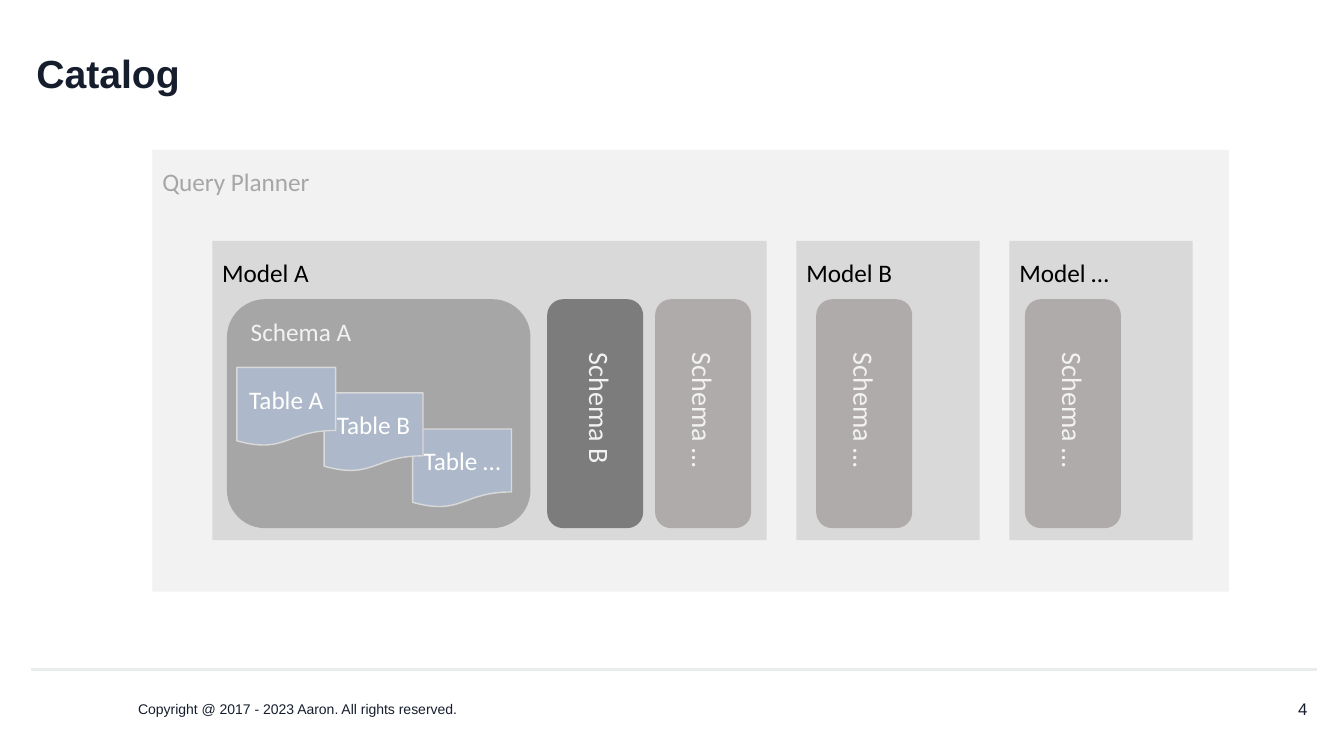
from dataclasses import dataclass

from lxml import etree
from pptx import Presentation
from pptx.dml.color import RGBColor
from pptx.enum.shapes import MSO_CONNECTOR, MSO_SHAPE
from pptx.enum.text import MSO_ANCHOR, MSO_AUTO_SIZE, PP_ALIGN
from pptx.oxml.ns import qn
from pptx.util import Cm, Pt

STRAIGHT = MSO_CONNECTOR.STRAIGHT
RECTANGLE = MSO_SHAPE.RECTANGLE
ROUNDED = MSO_SHAPE.ROUNDED_RECTANGLE
DOCUMENT = MSO_SHAPE.FLOWCHART_DOCUMENT
TOP, MIDDLE = MSO_ANCHOR.TOP, MSO_ANCHOR.MIDDLE
LEFT, CENTER, RIGHT = PP_ALIGN.LEFT, PP_ALIGN.CENTER, PP_ALIGN.RIGHT
NO_FIT = MSO_AUTO_SIZE.NONE
TITLE_ONLY = 5


@dataclass(frozen=True)
class Theme:
    """Colours, fonts and type sizes of the slide."""
    ink: str = "161E2D"
    rule: str = "EAEDED"
    black: str = "000000"
    white: str = "FFFFFF"
    catalog: str = "F2F2F2"
    catalog_label: str = "A6A6A6"
    model: str = "D9D9D9"
    schema_open: str = "A6A6A6"
    schema_dark: str = "7C7C7C"
    schema_more: str = "AFABAB"
    schema_label: str = "F2F2F2"
    table: str = "ADB9CA"
    table_line: str = "D9D9D9"
    heading_font: str = "Arial"
    body_font: str = "Calibri"
    title_size: int = 28
    strip_size: int = 20
    label_size: int = 18
    number_size: int = 12
    footer_size: int = 10


THEME = Theme()


def write(shape, text, *, size=THEME.label_size, color=THEME.black, font=THEME.body_font,
          bold=False, align=LEFT, anchor=TOP, wrap=True, spacing=None):
    """Put one formatted paragraph into a shape."""
    frame = shape.text_frame
    frame.auto_size = NO_FIT
    frame.word_wrap = wrap
    frame.vertical_anchor = anchor
    para = frame.paragraphs[0]
    para.alignment = align
    para.line_spacing = spacing
    span = para.add_run()
    span.text = text
    span.font.size = Pt(size)
    span.font.name = font
    span.font.bold = bold
    span.font.color.rgb = RGBColor.from_string(color)


def add_label(page, box, text, **style):
    """Add a text box at a box given in centimetres."""
    label = page.shapes.add_textbox(*map(Cm, box))
    write(label, text, **style)
    return label


def add_block(page, kind, box, fill, line=None):
    """Add a flat filled shape at a box given in centimetres."""
    block = page.shapes.add_shape(kind, *map(Cm, box))
    block.shadow.inherit = False
    block.fill.solid()
    block.fill.fore_color.rgb = RGBColor.from_string(fill)
    if line:
        block.line.color.rgb = RGBColor.from_string(line)
        block.line.width = Pt(1)
    else:
        block.line.fill.background()
    return block


def add_title(page, box, text):
    """Place the title placeholder."""
    title = page.shapes.title
    title.left, title.top, title.width, title.height = map(Cm, box)
    write(title, text, size=THEME.title_size, color=THEME.ink, font=THEME.heading_font,
          bold=True, anchor=MIDDLE, spacing=0.9)


def add_footer(page, box, copyright_text, number):
    """Draw the rule, the copyright line and the page number."""
    left, top, width, height = box
    right = left + width
    rule = page.shapes.add_connector(STRAIGHT, Cm(left), Cm(top), Cm(right), Cm(top))
    rule.line.color.rgb = RGBColor.from_string(THEME.rule)
    rule.line.width = Pt(2.25)
    etree.SubElement(rule._element.spPr, qn("a:effectLst"))
    style = dict(color=THEME.ink, font=THEME.heading_font, anchor=MIDDLE)
    text_top = top + 0.5
    add_label(page, (left + 2.44, text_top, 12.4, height - 0.5), copyright_text,
              size=THEME.footer_size, **style)
    add_label(page, (right - 7.9, text_top, 7.9, height - 0.5), number,
              size=THEME.number_size, align=RIGHT, **style)


def add_open_schema(page, box, text, tables):
    """Draw a schema with its overlapping tables, the first in front."""
    left, top, _, _ = box
    add_block(page, ROUNDED, box, THEME.schema_open)
    add_label(page, (left + 0.35, top + 0.3, 4.45, 1.02), text, color=THEME.schema_label)
    for name, across, down in reversed(tables):
        table = add_block(page, DOCUMENT, (left + across, top + down, 2.49, 1.98),
                          THEME.table, THEME.table_line)
        write(table, name, color=THEME.white, align=CENTER, anchor=MIDDLE, wrap=False)


def add_schema_strip(page, box, text, fill, shift=0):
    """Draw a narrow schema with a label turned on its side."""
    left, top, width, height = box
    add_block(page, ROUNDED, box, fill)
    label_width, label_height = 4.45, 1.11
    label_left = left + (width - label_width) / 2 + shift
    label_top = top + (height - label_height) / 2 + 0.44
    label = add_label(page, (label_left, label_top, label_width, label_height), text,
                      size=THEME.strip_size, color=THEME.schema_label)
    label.rotation = 90


def add_model(page, box, text, strips, open_schema=None):
    """Draw a model with its schemas."""
    left, top, width, height = box
    add_block(page, RECTANGLE, box, THEME.model)
    add_label(page, (left, top + 0.3, 3.48, 1.02), text)
    schema_top, schema_height = top + 1.47, height - 1.77
    if open_schema:
        add_open_schema(page, (left + 0.37, schema_top, 7.65, schema_height), *open_schema)
    for across, *strip in strips:
        add_schema_strip(page, (left + across, schema_top, 2.42, schema_height), *strip)


def add_catalog(page, box):
    """Draw the catalog panel with its three models."""
    left, top, _, _ = box
    add_block(page, RECTANGLE, box, THEME.catalog)
    add_label(page, (left, top + 0.28, 6.53, 1.02), "Query Planner",
              color=THEME.catalog_label)
    tables = [("Table A", 0.25, 1.72), ("Table B", 2.45, 2.36), ("Table …", 4.68, 3.27)]
    more = ("Schema …", THEME.schema_more)
    models = [
        (1.51, 13.97, "Model A",
         [(8.44, "Schema B", THEME.schema_dark, 0.12), (11.16, *more)],
         ("Schema A", tables)),
        (16.23, 4.62, "Model B", [(0.5, *more)], None),
        (21.6, 4.62, "Model …", [(0.39, *more)], None),
    ]
    for across, width, *content in models:
        add_model(page, (left + across, top + 2.29, width, 7.54), *content)


def main():
    """Build the deck and save it."""
    deck = Presentation()
    deck.slide_width, deck.slide_height = Cm(33.87), Cm(19.05)
    page = deck.slides.add_slide(deck.slide_layouts[TITLE_ONLY])
    add_title(page, (0.66, 1.02, 32.54, 1.78), "Catalog")
    add_footer(page, (0.79, 16.87, 32.41, 1.5),
               "Copyright @ 2017 - 2023 Aaron. All rights reserved.", "4")
    add_catalog(page, (3.84, 3.78, 27.13, 11.13))
    deck.save("out.pptx")


if __name__ == "__main__":
    main()
